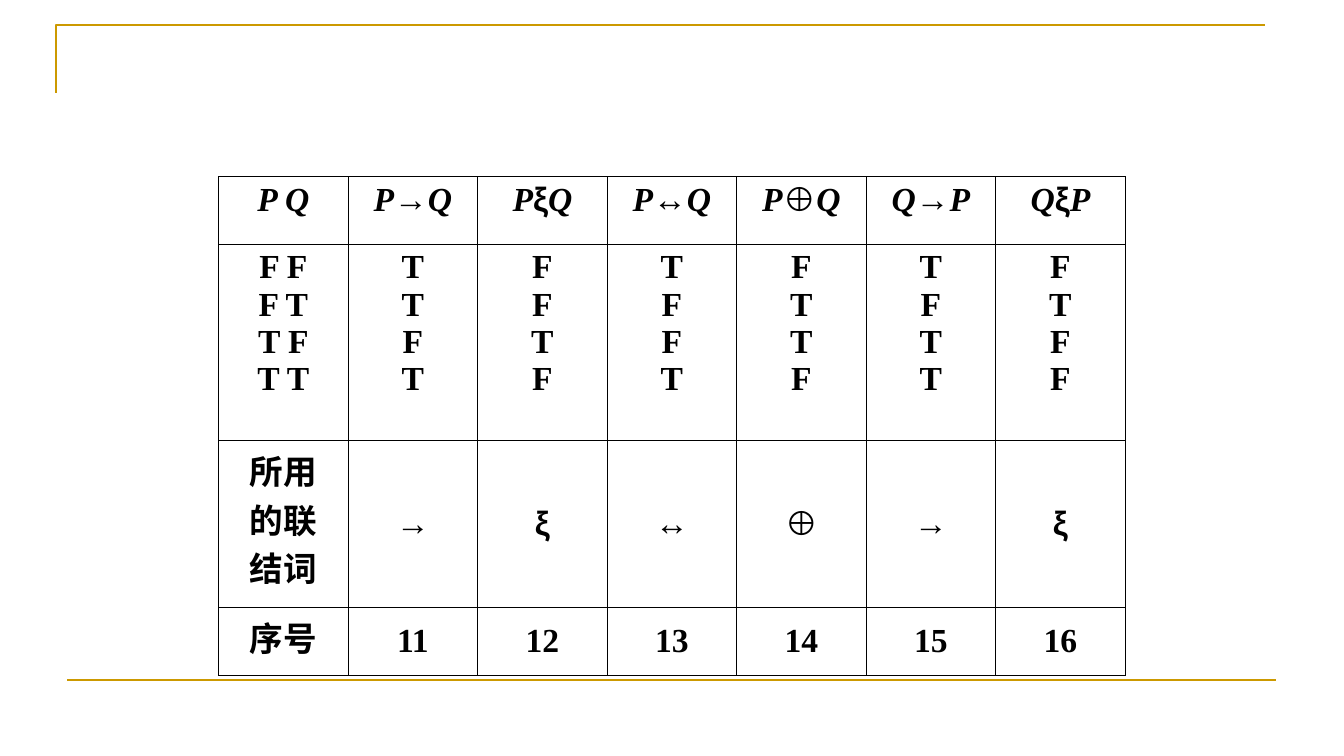
import pptx
import pptx.dml.color
import pptx.enum.shapes
import pptx.enum.text
import pptx.oxml
import pptx.oxml.ns
import pptx.util
from pptx.util import Inches

COLORS = {"gold": "CC9900", "black": "000000", "white": "FFFFFF"}
SYMBOLS = "→ξ↔⊕"
TEXT_FONT, SYMBOL_FONT = "Times New Roman", "Arial"
NAMESPACE = pptx.oxml.ns.nsdecls("a")


class SlideBuilder:
    """Holds the style and the current slide."""

    text_format = {"size": pptx.util.Pt(24), "bold": True}
    rule_width = pptx.util.Pt(1.5)
    border_width = pptx.util.Pt(0.45)
    indent = Inches(0.38)

    def __init__(self, presentation):
        self.slide = presentation.slides.add_slide(presentation.slide_layouts[6])
        self.slide.background.fill.solid()
        self.slide.background.fill.fore_color.rgb = self.color("white")

    def color(self, name):
        return pptx.dml.color.RGBColor.from_string(COLORS[name])

    def style_line(self, line):
        line.color.rgb = self.color("gold")
        line.width = self.rule_width

    def corner(self, points):
        first, *others = [(Inches(x), Inches(y)) for x, y in points]
        builder = self.slide.shapes.build_freeform(*first)
        builder.add_line_segments(others, close=False)
        shape = builder.convert_to_shape()
        shape.shadow.inherit = False
        shape.fill.background()
        self.style_line(shape.line)

    def rule(self, start, end):
        connector = self.slide.shapes.add_connector(
            pptx.enum.shapes.MSO_CONNECTOR.STRAIGHT,
            *[Inches(value) for value in start + end])
        self.style_line(connector.line)
        connector._element.spPr.append(
            pptx.oxml.parse_xml(f"<a:effectLst {NAMESPACE}/>"))

    def table(self, left, top, width, row_heights, rows):
        columns = len(rows[0])
        frame = self.slide.shapes.add_table(
            len(rows), columns, Inches(left), Inches(top),
            Inches(width), Inches(sum(row_heights)))
        table = frame.table
        table.first_row = table.horz_banding = False
        for column in table.columns:
            column.width = Inches(width / columns)
        for row, height in zip(table.rows, row_heights):
            row.height = Inches(height)
        for r, texts in enumerate(rows):
            for c, text in enumerate(texts):
                cell = table.cell(r, c)
                # Connectives and numbers sit in the middle of their cells
                if r >= 2 and c >= 1:
                    cell.vertical_anchor = pptx.enum.text.MSO_ANCHOR.MIDDLE
                self.borders(cell)
                self.cell_text(cell, text, italic=r == 0)

    def borders(self, cell):
        cell.fill.background()
        properties = cell._tc.get_or_add_tcPr()
        for index, side in enumerate("LRTB"):
            properties.insert(index, pptx.oxml.parse_xml(
                f'<a:ln{side} {NAMESPACE} w="{int(self.border_width)}"><a:solidFill>'
                f'<a:srgbClr val="{COLORS["black"]}"/></a:solidFill></a:ln{side}>'))

    def cell_text(self, cell, text, italic):
        for index, line in enumerate(text.split("\n")):
            frame = cell.text_frame
            paragraph = frame.add_paragraph() if index else frame.paragraphs[0]
            paragraph.alignment = pptx.enum.text.PP_ALIGN.CENTER
            properties = paragraph._p.get_or_add_pPr()
            properties.set("marL", str(int(self.indent)))
            properties.set("indent", str(-int(self.indent)))
            # A formula such as P→Q becomes three runs
            pieces = list(line) if any(s in line for s in SYMBOLS) else [line]
            for piece in pieces:
                run = paragraph.add_run()
                run.text = piece
                is_symbol = piece in SYMBOLS
                formats = {**self.text_format,
                           "name": SYMBOL_FONT if is_symbol else TEXT_FONT,
                           "italic": italic and not is_symbol}
                for name, value in formats.items():
                    setattr(run.font, name, value)
                run.font.color.rgb = self.color("black")


def main():
    presentation = pptx.Presentation()
    presentation.slide_width = Inches(13.34)
    presentation.slide_height = Inches(7.5)
    builder = SlideBuilder(presentation)

    # Frame lines
    builder.corner([(0.56, 0.92), (0.56, 0.25), (12.56, 0.25)])
    builder.rule((0.67, 6.75), (12.67, 6.75))

    # Truth table: formula and its values for FF, FT, TF, TT
    truth_values = {"P→Q": "TTFT", "PξQ": "FFTF", "P↔Q": "TFFT",
                    "P⊕Q": "FTTF", "Q→P": "TFTT", "QξP": "FTFF"}
    rows = [
        ["P Q", *truth_values],
        ["F F\nF T\nT F\nT T", *("\n".join(v) for v in truth_values.values())],
        ["所用\n的联\n结词", *(formula[1] for formula in truth_values)],
        ["序号", *(str(number) for number in range(11, 17))],
    ]
    builder.table(2.17, 1.75, 9, [0.67, 1.95, 1.66, 0.67], rows)

    presentation.save("out.pptx")


if __name__ == "__main__":
    main()
